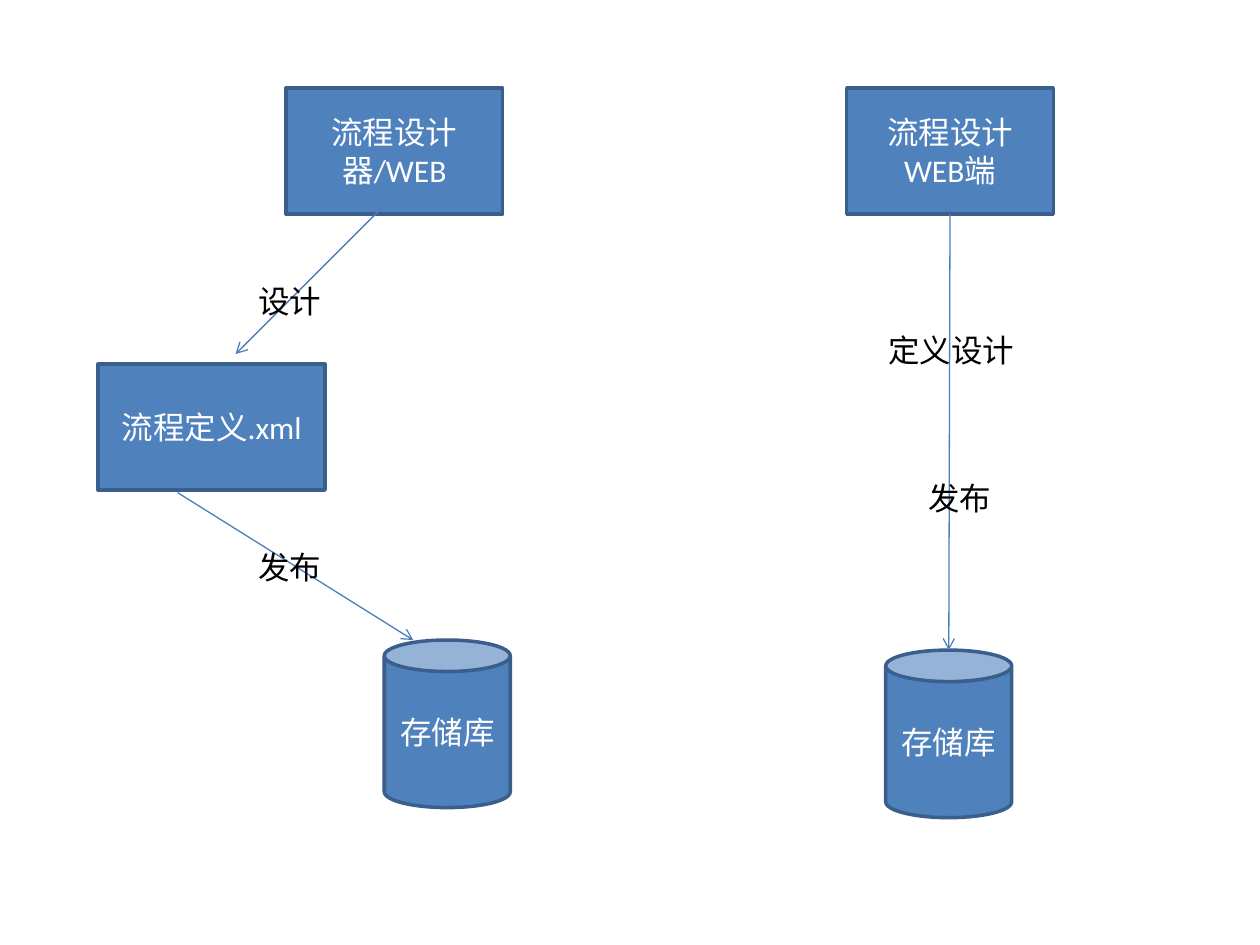
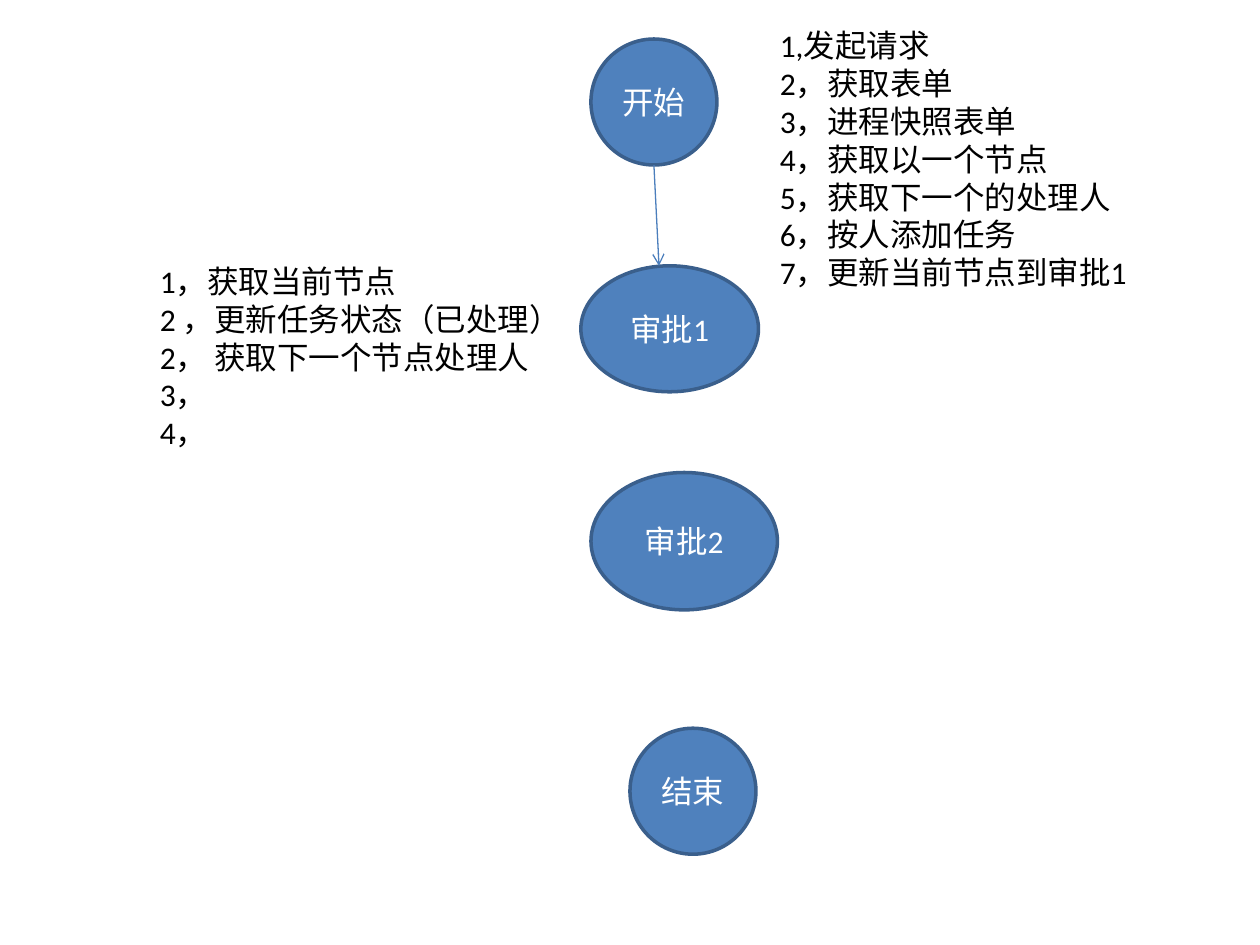
import pptx
import pptx.util
import pptx.dml.color
import pptx.enum.shapes
import pptx.enum.text
import pptx.oxml.ns
import lxml.etree

Inches = pptx.util.Inches
Pt = pptx.util.Pt
KINDS = pptx.enum.shapes.MSO_SHAPE

FILL = "4F81BD"
EDGE = "3A5F8C"
ARROW = "4B7EBC"
WHITE = "FFFFFF"
BLACK = "000000"


def color(code):
    return pptx.dml.color.RGBColor.from_string(code)


class Deck:
    """Holds the shared style and the slide being drawn."""

    font = "Calibri"
    size = Pt(18)

    def __init__(self):
        self.file = pptx.Presentation()
        self.file.slide_width = Inches(10)
        self.file.slide_height = Inches(7.5)
        self.slide = None

    def start(self):
        self.slide = self.file.slides.add_slide(self.file.slide_layouts[6])

    def label(self, para, text, code):
        run = para.add_run()
        run.text = text
        run.font.name = self.font
        run.font.size = self.size
        run.font.color.rgb = color(code)

    def node(self, kind, text, left, top, width=1, height=1):
        shape = self.slide.shapes.add_shape(
            kind, Inches(left), Inches(top), Inches(width), Inches(height))
        shape.shadow.inherit = False
        shape.fill.solid()
        shape.fill.fore_color.rgb = color(FILL)
        shape.line.color.rgb = color(EDGE)
        shape.line.width = Pt(2)
        frame = shape.text_frame
        frame.vertical_anchor = pptx.enum.text.MSO_ANCHOR.MIDDLE
        para = frame.paragraphs[0]
        para.alignment = pptx.enum.text.PP_ALIGN.CENTER
        self.label(para, text, WHITE)
        return shape

    def arrow(self, x1, y1, x2, y2):
        line = self.slide.shapes.add_connector(
            pptx.enum.shapes.MSO_CONNECTOR.STRAIGHT,
            Inches(x1), Inches(y1), Inches(x2), Inches(y2))
        line.line.color.rgb = color(ARROW)
        line.line.width = Pt(0.75)
        name = pptx.oxml.ns.qn
        props = line._element.spPr
        stroke = props.find(name("a:ln"))
        lxml.etree.SubElement(stroke, name("a:tailEnd"), type="arrow")
        lxml.etree.SubElement(props, name("a:effectLst"))
        return line

    def note(self, lines, left, top, width, height=0.4, wrap=False):
        box = self.slide.shapes.add_textbox(
            Inches(left), Inches(top), Inches(width), Inches(height))
        frame = box.text_frame
        frame.word_wrap = wrap
        frame.auto_size = pptx.enum.text.MSO_AUTO_SIZE.SHAPE_TO_FIT_TEXT
        for i, text in enumerate(lines):
            para = frame.add_paragraph() if i else frame.paragraphs[0]
            self.label(para, text, BLACK)


def draw_design(deck):
    deck.start()
    deck.node(KINDS.RECTANGLE, "流程设计器/WEB", 2.27, 0.7, 1.72)
    deck.node(KINDS.RECTANGLE, "流程定义.xml", 0.78, 2.89, 1.8)
    deck.node(KINDS.CAN, "存储库", 3.05, 5.08, height=1.33)
    deck.arrow(3.2, 1.48, 1.87, 2.81)
    deck.arrow(1.41, 3.91, 3.28, 5.08)
    deck.note(["发布"], 1.95, 4.3, 0.71)
    deck.note(["设计"], 1.95, 2.19, 0.71)

    web = deck.node(KINDS.RECTANGLE, "流程设计WEB端", 6.72, 0.7, 1.64)
    deck.node(KINDS.CAN, "存储库", 7.03, 5.16, height=1.33)
    deck.arrow(7.54, 1.7, 7.53, 5.16).begin_connect(web, 2)
    deck.note(["定义设计"], 6.95, 2.58, 1.21)
    deck.note(["发布"], 7.27, 3.75, 0.71)


def draw_steps(deck):
    deck.start()
    for text, *place in (
        ("开始", 4.69, 0.31),
        ("审批1", 4.61, 2.11, 1.41),
        ("审批2", 4.69, 3.75, 1.48, 1.09),
        ("结束", 5, 5.78),
    ):
        deck.node(KINDS.OVAL, text, *place)
    deck.arrow(5.19, 1.31, 5.23, 2.11)
    deck.note([
        "1,发起请求",
        "2，获取表单",
        "3，进程快照表单",
        "4，获取以一个节点",
        "5，获取下一个的处理人",
        "6，按人添加任务",
        "7，更新当前节点到审批1",
    ], 6.09, 0.16, 2.98, 2.22, wrap=True)
    deck.note([
        "1，获取当前节点",
        "2 ，更新任务状态（已处理）",
        "2， 获取下一个节点处理人",
        "3，",
        "4，",
    ], 1.17, 2.03, 3.42, 1.62, wrap=True)


def main():
    deck = Deck()
    draw_design(deck)
    draw_steps(deck)
    deck.file.save("out.pptx")


if __name__ == "__main__":
    main()
